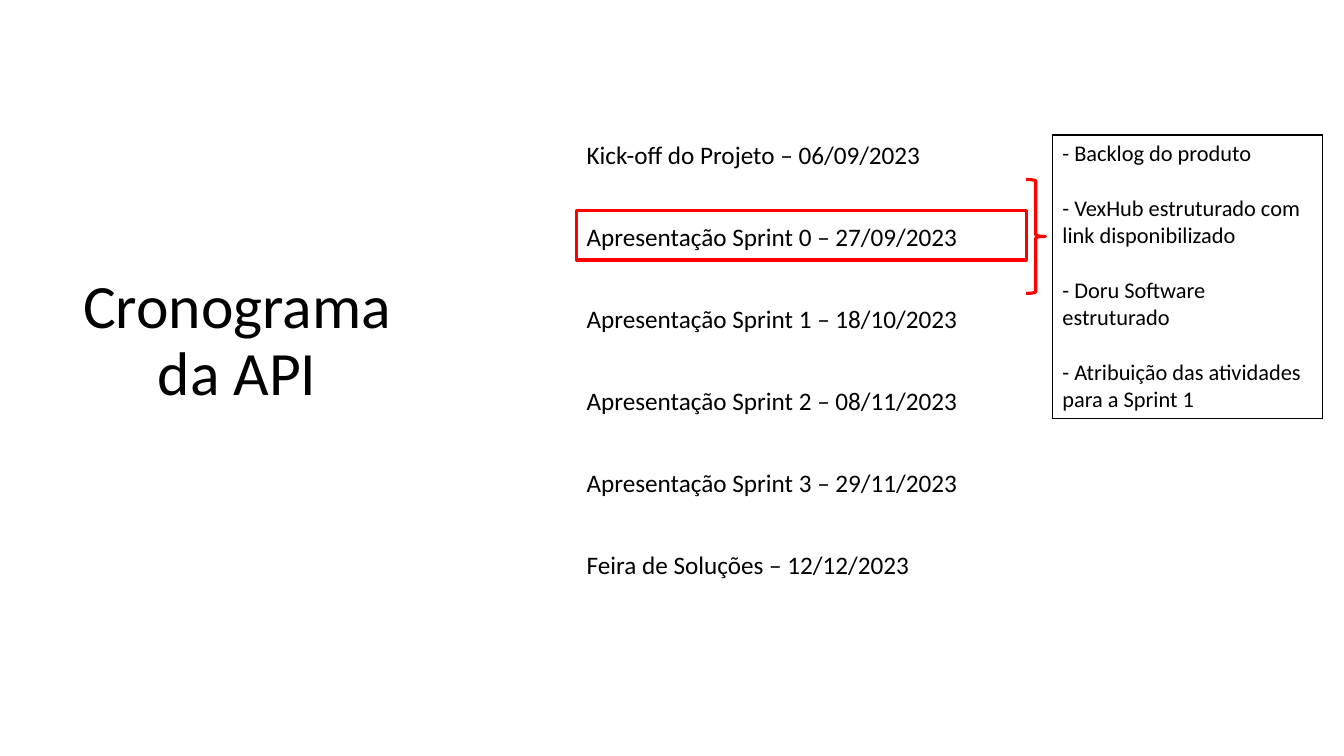
"""Build the API schedule slide."""
from dataclasses import dataclass

from lxml.etree import SubElement
from pptx import Presentation
from pptx.dml.color import RGBColor
from pptx.enum.shapes import MSO_SHAPE as SHAPE
from pptx.enum.text import MSO_ANCHOR as ANCHOR, MSO_AUTO_SIZE as AUTO_SIZE, PP_ALIGN as ALIGN
from pptx.oxml.ns import qn
from pptx.util import Pt

BLACK = RGBColor(0, 0, 0)
RED = RGBColor(255, 0, 0)
FONT = "Calibri"


@dataclass(frozen=True)
class Box:
    left: float
    top: float
    width: float
    height: float

    def lengths(self) -> tuple:
        return Pt(self.left), Pt(self.top), Pt(self.width), Pt(self.height)


@dataclass(frozen=True)
class Mark:
    kind: SHAPE
    box: Box


TITLE_BOX = Box(48.2, 17, 242.6, 454.3)
SCHEDULE_BOX = Box(411.8, 96.5, 321.2, 351.4)
NOTES_BOX = Box(751.7, 96.5, 193, 183)
MARKS = [
    Mark(SHAPE.RECTANGLE, Box(411.8, 150.5, 321.2, 35.3)),
    Mark(SHAPE.RIGHT_BRACE, Box(733, 128.2, 13.7, 81.4)),
]
SCHEDULE = [
    "Kick-off do Projeto – 06/09/2023",
    "Apresentação Sprint 0 – 27/09/2023",
    "Apresentação Sprint 1 – 18/10/2023",
    "Apresentação Sprint 2 – 08/11/2023",
    "Apresentação Sprint 3 – 29/11/2023",
    "Feira de Soluções – 12/12/2023",
]
NOTES = [
    "- Backlog do produto",
    "- VexHub estruturado com link disponibilizado",
    "- Doru Software estruturado",
    "- Atribuição das atividades para a Sprint 1",
]


def write(tf, lines: list[str], *, size: float, align=ALIGN.LEFT,
          spacing: float = 1.0, gap: float = 0) -> None:
    for i, line in enumerate(lines):
        p = tf.add_paragraph() if i else tf.paragraphs[0]
        p.alignment = align
        p.line_spacing = spacing
        p.space_before = Pt(gap if i else 0)
        r = p.add_run()
        r.text = line
        r.font.name = FONT
        r.font.size = Pt(size)
        r.font.color.rgb = BLACK


def add_border(cell, color: RGBColor, width: float) -> None:
    tc_pr = cell._tc.get_or_add_tcPr()
    for i, side in enumerate(("lnL", "lnR", "lnT", "lnB")):
        ln = tc_pr.makeelement(qn(f"a:{side}"), {"w": str(Pt(width))})
        tc_pr.insert(i, ln)
        fill = SubElement(ln, qn("a:solidFill"))
        SubElement(fill, qn("a:srgbClr"), val=str(color))


def add_column(slide, box: Box, rows: list[list[str]], *, size: float, gap: float = 0):
    table = slide.shapes.add_table(len(rows), 1, *box.lengths()).table
    table.first_row = table.horz_banding = False
    for i, lines in enumerate(rows):
        cell = table.cell(i, 0)
        cell.fill.background()
        write(cell.text_frame, lines, size=size, gap=gap)
    return table


def add_mark(slide, mark: Mark) -> None:
    sp = slide.shapes.add_shape(mark.kind, *mark.box.lengths())
    sp.shadow.inherit = False
    sp.fill.background()
    sp.line.color.rgb = RED
    sp.line.width = Pt(2.25)


def add_title(slide) -> None:
    sp = slide.shapes.title
    sp.left, sp.top, sp.width, sp.height = TITLE_BOX.lengths()
    tf = sp.text_frame
    tf.word_wrap = True
    tf.auto_size = AUTO_SIZE.NONE
    tf.vertical_anchor = ANCHOR.MIDDLE
    write(tf, ["Cronograma da API"], size=44, align=ALIGN.CENTER, spacing=0.9)


def main() -> None:
    prs = Presentation()
    prs.slide_width, prs.slide_height = Pt(960), Pt(540)
    slide = prs.slides.add_slide(prs.slide_layouts[5])
    add_column(slide, SCHEDULE_BOX, [[line] for line in SCHEDULE], size=18)
    add_title(slide)
    for mark in MARKS:
        add_mark(slide, mark)
    notes = add_column(slide, NOTES_BOX, [NOTES], size=16, gap=19.5)
    add_border(notes.cell(0, 0), BLACK, 1)
    prs.save("out.pptx")


if __name__ == "__main__":
    main()
